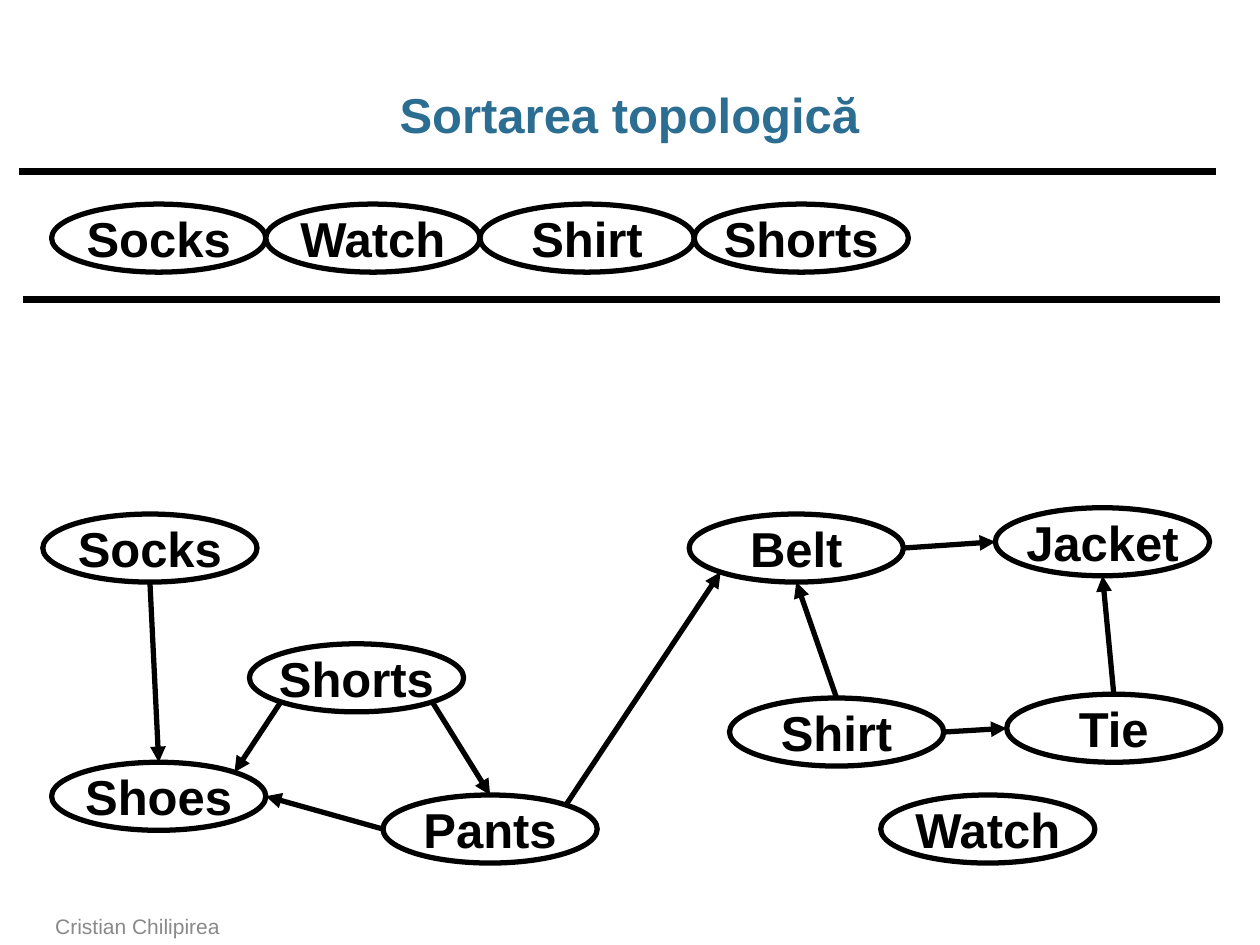
import math
from dataclasses import dataclass

import pptx
import pptx.util
import pptx.dml.color
import pptx.enum.shapes
import pptx.enum.text
import pptx.oxml
import pptx.oxml.ns

# Content
TITLE = "Sortarea topologică"
AUTHOR = "Cristian Chilipirea"
SORTED = ["Socks", "Watch", "Shirt", "Shorts"]
NODES = {  # name: left, top
    "Socks": (0.34, 4.08), "Jacket": (7.9, 4.03), "Watch": (6.99, 6.31),
    "Shorts": (1.98, 5.11), "Shoes": (0.41, 6.05), "Belt": (5.47, 4.08),
    "Pants": (3.04, 6.31), "Shirt": (5.79, 5.54), "Tie": (7.99, 5.51),
}
EDGES = [  # from, side, to, side
    ("Socks", "S", "Shoes", "N"), ("Shorts", "SW", "Shoes", "NE"),
    ("Shorts", "SE", "Pants", "N"), ("Pants", "W", "Shoes", "E"),
    ("Pants", "NE", "Belt", "SW"), ("Shirt", "N", "Belt", "S"),
    ("Shirt", "E", "Tie", "W"), ("Tie", "N", "Jacket", "S"),
    ("Belt", "E", "Jacket", "W"),
]
RULES = [(0.15, 1.36), (0.18, 2.38)]  # left, top
RULE_W = 9.5
ROW_X, ROW_Y, STEP = 0.41, 1.62, 1.7
NODE_W, NODE_H = 1.7, 0.54
SIDES = ["E", "SE", "S", "SW", "W", "NW", "N", "NE"]  # 45 degrees apart


@dataclass(frozen=True)
class Theme:
    font: str = "Arial"
    ink: str = "000000"
    paper: str = "FFFFFF"
    title: str = "2C6D92"
    muted: str = "898989"
    big: int = 28
    small: int = 12
    line: int = 3
    rule: int = 4


T = Theme()
ALIGN = pptx.enum.text.PP_ALIGN
ANCHOR = pptx.enum.text.MSO_ANCHOR
inch = pptx.util.Inches
rgb = pptx.dml.color.RGBColor.from_string


def write(frame, text, size, color, bold, align):
    par = frame.paragraphs[0]
    par.alignment = align
    run = par.add_run()
    run.text = text
    font = run.font
    font.name, font.size, font.bold = T.font, pptx.util.Pt(size), bold
    font.color.rgb = rgb(color)
    return par


def add_node(slide, name, left, top):
    oval = slide.shapes.add_shape(pptx.enum.shapes.MSO_SHAPE.OVAL,
                                  inch(left), inch(top), inch(NODE_W), inch(NODE_H))
    oval.shadow.inherit = False
    oval.fill.solid()
    oval.fill.fore_color.rgb = rgb(T.paper)
    oval.line.color.rgb = rgb(T.ink)
    oval.line.width = pptx.util.Pt(T.line)
    frame = oval.text_frame
    frame.word_wrap = False
    frame.vertical_anchor = ANCHOR.MIDDLE
    write(frame, name, T.big, T.ink, True, ALIGN.CENTER)


def add_line(slide, start, end, width, arrow=False):
    line = slide.shapes.add_connector(pptx.enum.shapes.MSO_CONNECTOR.STRAIGHT,
                                      *[inch(v) for v in (*start, *end)])
    line.line.color.rgb = rgb(T.ink)
    line.line.width = pptx.util.Pt(width)
    if arrow:
        tail = pptx.oxml.parse_xml(
            f'<a:tailEnd {pptx.oxml.ns.nsdecls("a")} type="triangle"/>')
        line.line._get_or_add_ln().append(tail)
    line._element.spPr.append(
        pptx.oxml.parse_xml(f'<a:effectLst {pptx.oxml.ns.nsdecls("a")}/>'))


def port(name, side):
    """Point on a node's rim at a compass side."""
    left, top = NODES[name]
    turn = math.radians(45 * SIDES.index(side))
    return (left + NODE_W / 2 * (1 + math.cos(turn)),
            top + NODE_H / 2 * (1 + math.sin(turn)))


def main():
    deck = pptx.Presentation()
    deck.slide_width, deck.slide_height = inch(10), inch(7.5)
    slide = deck.slides.add_slide(deck.slide_layouts[5])

    # Title
    head = slide.shapes.title
    head.left, head.top, head.width, head.height = map(inch, (0.34, 0.68, 9.31, 0.5))
    frame = head.text_frame
    frame.auto_size = pptx.enum.text.MSO_AUTO_SIZE.NONE
    frame.vertical_anchor = ANCHOR.MIDDLE
    frame.margin_left = frame.margin_right = 0
    par = write(frame, TITLE, T.big, T.title, True, ALIGN.CENTER)
    par.line_spacing = 0.95

    # Author
    foot = slide.shapes.add_textbox(*map(inch, (0.34, 7.22, 7.37, 0.28)))
    foot.text_frame.word_wrap = True
    foot.text_frame.vertical_anchor = ANCHOR.BOTTOM
    write(foot.text_frame, AUTHOR, T.small, T.muted, False, ALIGN.LEFT)

    # Graph
    for name, (left, top) in NODES.items():
        add_node(slide, name, left, top)
    for src, out, dst, into in EDGES:
        add_line(slide, port(src, out), port(dst, into), T.line, arrow=True)

    # Sorted row between two rules
    for left, top in RULES:
        add_line(slide, (left, top), (left + RULE_W, top), T.rule)
    for i, name in enumerate(SORTED):
        add_node(slide, name, ROW_X + i * STEP, ROW_Y)

    deck.save("out.pptx")


if __name__ == "__main__":
    main()
